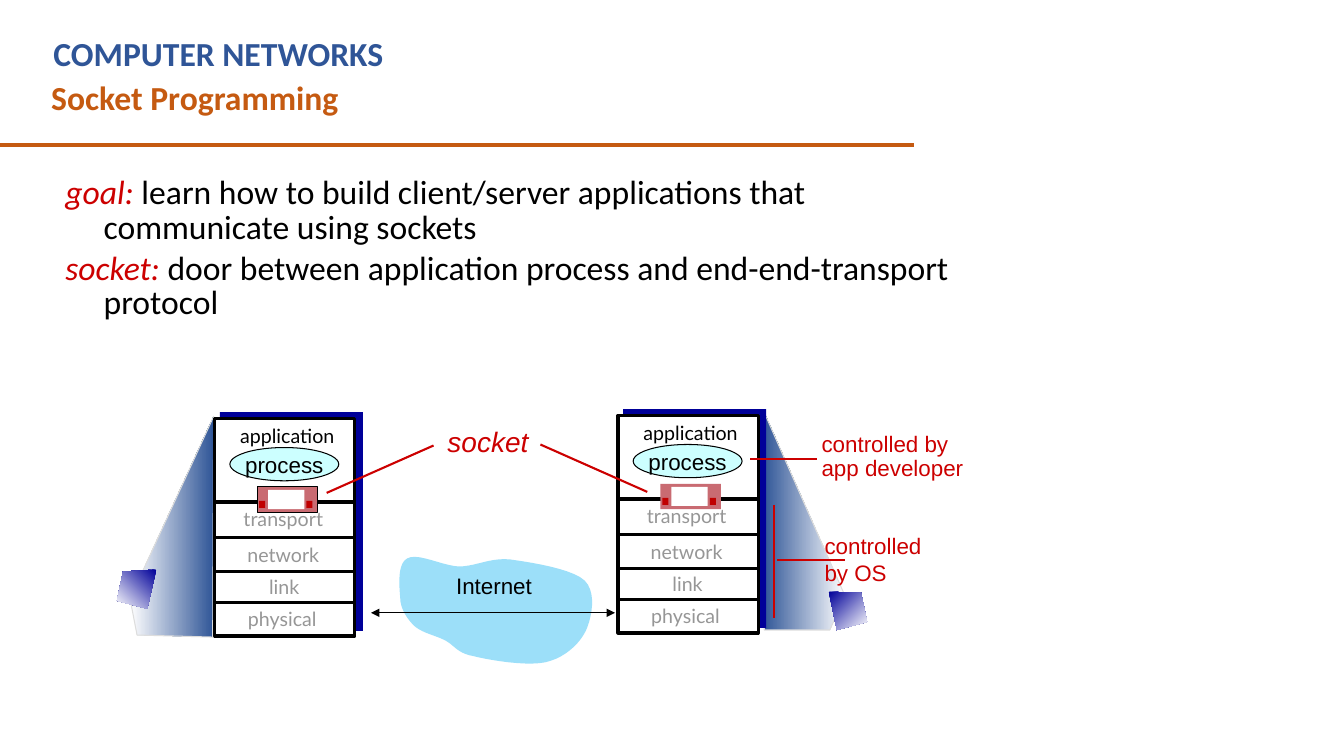
"""Build the Socket Programming slide with two hosts joined by the Internet."""
from dataclasses import dataclass

from lxml.etree import SubElement
from pptx import Presentation
from pptx.dml.color import RGBColor
from pptx.enum.shapes import MSO_CONNECTOR, MSO_SHAPE
from pptx.enum.text import MSO_ANCHOR, MSO_AUTO_SIZE, PP_ALIGN
from pptx.oxml.ns import qn
from pptx.shapes.autoshape import Shape
from pptx.shapes.connector import Connector
from pptx.slide import Slide
from pptx.text.text import TextFrame
from pptx.util import Inches, Pt

BLACK = RGBColor(0x00, 0x00, 0x00)
WHITE = RGBColor(0xFF, 0xFF, 0xFF)
RED = RGBColor(0xCC, 0x00, 0x00)
BRICK = RGBColor(0xC0, 0x00, 0x00)
ROSE = RGBColor(0xC9, 0x6B, 0x72)
RUST = RGBColor(0xC5, 0x5A, 0x11)
BLUE = RGBColor(0x2F, 0x55, 0x97)
NAVY = RGBColor(0x00, 0x00, 0x99)
AQUA = RGBColor(0xCC, 0xFF, 0xFF)
SKY = RGBColor(0x9C, 0xDF, 0xF9)
GREY = RGBColor(0x96, 0x96, 0x96)
PALE = RGBColor(0xDD, 0xDD, 0xDD)

Point = tuple[float, float]
Box = tuple[float, float, float, float]


@dataclass(frozen=True)
class Font:
    """Type settings of a run."""
    name: str
    size: float
    color: RGBColor
    bold: bool = False
    slant: bool = False


@dataclass(frozen=True)
class Label:
    """Lines of text in a box."""
    box: Box
    lines: tuple[str, ...]
    font: Font
    wrap: bool = False
    align: PP_ALIGN = PP_ALIGN.LEFT
    space: float = 1.0


@dataclass(frozen=True)
class Line:
    """A straight line."""
    start: Point
    end: Point
    color: RGBColor = RED
    width: float = 1.5
    heads: bool = False


@dataclass(frozen=True)
class Patch:
    """A polygon with a gradient; the angle runs counter-clockwise."""
    points: tuple[Point, ...]
    first: RGBColor
    last: RGBColor
    angle: float
    edge: RGBColor | None = None


@dataclass(frozen=True)
class Host:
    """A protocol stack and its top left corner."""
    left: float
    top: float
    edge: RGBColor | None


HEAD = Font("Calibri", 24, BLUE, bold=True)
SUB = Font("Calibri", 24, RUST, bold=True)
TERM = Font("Calibri", 24, RED, slant=True)
BODY = Font("Calibri", 24, BLACK)
NOTE = Font("Arial", 16, RED)
PLAIN = Font("Arial", 16, BLACK)
LIVE = Font("Lato", 14, BLACK)
FAINT = Font("Lato", 14, GREY)

TERMS = (
    ("goal:", " learn how to build client/server applications that communicate using sockets"),
    ("socket:", " door between application process and end-end-transport protocol"),
)
LAYERS = (
    ("application", 0, -0.02, LIVE), ("transport", -0.04, 0.81, FAINT),
    ("network", -0.04, 1.16, FAINT), ("link", -0.03, 1.48, FAINT),
    ("physical", -0.05, 1.8, FAINT),
)
RULES = (0.83, 1.18, 1.52, 1.83)
HOSTS = (Host(2.13, 4.15, BLACK), Host(6.13, 4.12, None))
BEAMS = (
    Patch(((8.38, 5.91), (7.57, 4.07), (7.58, 6.25), (8.23, 6.25)), WHITE, BLUE, 180, PALE),
    Patch(((1.29, 5.94), (2.12, 4.13), (2.11, 6.32), (1.36, 6.3)), WHITE, BLUE, 0, PALE),
)
TILES = (
    Patch(((1.55, 5.65), (1.22, 5.67), (1.16, 5.96), (1.46, 6.04)), NAVY, WHITE, 225),
    Patch(((8.22, 5.87), (8.54, 5.88), (8.6, 6.17), (8.3, 6.25)), NAVY, WHITE, 315),
)
CLOUD = (
    (3.97, 5.93), (3.96, 5.81), (3.94, 5.59), (4.04, 5.54), (4.14, 5.48), (4.38, 5.61),
    (4.55, 5.62), (4.72, 5.62), (4.86, 5.53), (5.06, 5.55), (5.27, 5.58), (5.67, 5.64),
    (5.8, 5.76), (5.92, 5.88), (5.87, 6.13), (5.81, 6.26), (5.74, 6.4), (5.59, 6.53),
    (5.41, 6.57), (5.22, 6.61), (4.86, 6.55), (4.7, 6.51), (4.53, 6.48), (4.51, 6.4),
    (4.41, 6.35), (4.31, 6.3), (4.19, 6.28), (4.11, 6.21), (4.04, 6.14), (3.97, 6.04),
    (3.97, 5.93),
)
LABELS = (
    Label((4.42, 5.63, 0.96, 0.37), ("Internet",), PLAIN, align=PP_ALIGN.CENTER),
    Label((8.08, 5.23, 1.16, 0.9), ("controlled", "by OS"), NOTE),
    Label((8.05, 4.25, 1.61, 0.58), ("controlled by", "app developer"), NOTE, space=0.9),
    Label((4.34, 4.2, 1.1, 0.4), ("socket",), Font("Arial", 20, RED, slant=True), space=0.9),
)
LINES = (
    Line((8.1, 4.55), (7.44, 4.55)), Line((7.68, 5.01), (7.68, 6.13)),
    Line((8.38, 5.56), (7.71, 5.56)), Line((3.24, 4.89), (4.3, 4.42)),
    Line((6.42, 4.88), (5.36, 4.41)),
)


def write(frame: TextFrame, row: int, text: str, font: Font) -> None:
    """Add a run to the numbered paragraph."""
    while len(frame.paragraphs) <= row:
        frame.add_paragraph()
    run = frame.paragraphs[row].add_run()
    run.text = text
    run.font.name, run.font.size = font.name, Pt(font.size)
    run.font.bold, run.font.italic = font.bold, font.slant
    run.font.color.rgb = font.color


def label(slide: Slide, item: Label) -> None:
    """Add a text box."""
    frame = slide.shapes.add_textbox(*map(Inches, item.box)).text_frame
    frame.word_wrap = item.wrap
    frame.auto_size = MSO_AUTO_SIZE.SHAPE_TO_FIT_TEXT
    for row, text in enumerate(item.lines):
        write(frame, row, text, item.font)
        frame.paragraphs[row].alignment = item.align
        frame.paragraphs[row].line_spacing = item.space


def line(slide: Slide, item: Line) -> Connector:
    """Add a line, with arrowheads at both ends if asked."""
    ends = map(Inches, item.start + item.end)
    link = slide.shapes.add_connector(MSO_CONNECTOR.STRAIGHT, *ends)
    link.line.color.rgb, link.line.width = item.color, Pt(item.width)
    if item.heads:
        for tag in ("a:headEnd", "a:tailEnd"):
            SubElement(link.line._get_or_add_ln(), qn(tag), type="triangle")
    SubElement(link._element.spPr, qn("a:effectLst"))
    return link


def edge(shape: Shape, color: RGBColor | None, width: float) -> None:
    """Set the outline and drop the shadow."""
    shape.shadow.inherit = False
    if color is None:
        shape.line.fill.background()
    else:
        shape.line.color.rgb, shape.line.width = color, Pt(width)


def block(slide: Slide, box: Box, fill: RGBColor, rim: RGBColor | None = None,
          width: float = 0.75, kind: MSO_SHAPE = MSO_SHAPE.RECTANGLE) -> Shape:
    """Add a filled preset shape."""
    shape = slide.shapes.add_shape(kind, *map(Inches, box))
    shape.fill.solid()
    shape.fill.fore_color.rgb = fill
    edge(shape, rim, width)
    return shape


def outline(slide: Slide, points: tuple[Point, ...]) -> Shape:
    """Add a closed polygon."""
    first, *rest = [(Inches(x), Inches(y)) for x, y in points]
    pen = slide.shapes.build_freeform(*first)
    pen.add_line_segments(rest, close=True)
    return pen.convert_to_shape()


def patch(slide: Slide, item: Patch) -> None:
    """Add a gradient polygon."""
    shape = outline(slide, item.points)
    shape.fill.gradient()
    shape.fill.gradient_angle = item.angle
    for stop, color in zip(shape.fill.gradient_stops, (item.first, item.last)):
        stop.color.rgb = color
    edge(shape, item.edge, 0.75)


def curve(knots: tuple[Point, ...], steps: int = 10) -> tuple[Point, ...]:
    """Trace joined cubic curves as points."""
    trace = [knots[0]]
    for i in range(0, len(knots) - 1, 3):
        for t in (n / steps for n in range(1, steps + 1)):
            mix = ((1 - t) ** 3, 3 * t * (1 - t) ** 2, 3 * t * t * (1 - t), t ** 3)
            x, y = (sum(m * k[a] for m, k in zip(mix, knots[i:i + 4])) for a in (0, 1))
            trace.append((x, y))
    return tuple(trace)


def stack(slide: Slide, host: Host) -> None:
    """Draw a host with its layers, process and socket."""
    x, y = host.left, host.top
    block(slide, (x + 0.05, y - 0.06, 1.42, 2.17), NAVY)
    block(slide, (x, y, 1.39, 2.16), WHITE, BLACK, 2.25)
    for drop in RULES:
        line(slide, Line((x, y + drop), (x + 1.39, y + drop), BLACK, 2.25))
    for text, dx, dy, font in LAYERS:
        label(slide, Label((x + dx, y + dy, 1.44, 0.36), (text,), font, True,
                           PP_ALIGN.CENTER, 1.1))
    oval = block(slide, (x + 0.15, y + 0.29, 1.08, 0.33), AQUA, BLACK, kind=MSO_SHAPE.OVAL)
    oval.text_frame.word_wrap = False
    oval.text_frame.vertical_anchor = MSO_ANCHOR.MIDDLE
    write(oval.text_frame, 0, "process", PLAIN)
    oval.text_frame.paragraphs[0].alignment = PP_ALIGN.CENTER
    block(slide, (x + 0.42, y + 0.68, 0.6, 0.25), ROSE, host.edge)
    block(slide, (x + 0.53, y + 0.71, 0.36, 0.19), WHITE)
    for dx in (0.44, 0.91):
        block(slide, (x + dx, y + 0.82, 0.06, 0.07), BRICK)


def heading(slide: Slide) -> None:
    """Fill the title, subtitle and definitions."""
    title = slide.shapes.title
    title.left, title.top, title.width, title.height = map(Inches, (0.43, 0.28, 8.2, 0.5))
    title.text_frame.vertical_anchor = MSO_ANCHOR.TOP
    title.text_frame.auto_size = MSO_AUTO_SIZE.NONE
    write(title.text_frame, 0, "COMPUTER NETWORKS", HEAD)
    title.text_frame.paragraphs[0].alignment = PP_ALIGN.LEFT
    label(slide, Label((0.41, 0.71, 8.75, 0.5), ("Socket Programming",), SUB, True))
    line(slide, Line((0, 1.44), (9.07, 1.44), RUST, 3))
    frame = slide.shapes.add_textbox(*map(Inches, (0.55, 1.71, 9.25, 1.68))).text_frame
    frame.word_wrap = True
    for row, (term, text) in enumerate(TERMS):
        write(frame, row, term, TERM)
        write(frame, row, text, BODY)
        para = frame.paragraphs[row]
        para.line_spacing, para.space_before = 0.85, Pt(5 if row else 0)
        props = para._p.get_or_add_pPr()
        props.set("marL", str(Inches(0.38)))
        props.set("indent", str(Inches(-0.38)))


def main() -> None:
    """Build and save the slide."""
    deck = Presentation()
    deck.slide_width, deck.slide_height = Inches(13.33), Inches(7.5)
    slide = deck.slides.add_slide(deck.slide_layouts[5])
    heading(slide)
    for beam in BEAMS:
        patch(slide, beam)
    cloud = outline(slide, curve(CLOUD))
    cloud.fill.solid()
    cloud.fill.fore_color.rgb = SKY
    edge(cloud, None, 0)
    line(slide, Line((3.68, 6.08), (6.1, 6.08), BLACK, 0.75, True))
    for host in HOSTS:
        stack(slide, host)
    for item in LINES:
        line(slide, item)
    for item in LABELS:
        label(slide, item)
    for tile in TILES:
        patch(slide, tile)
    deck.save("out.pptx")


if __name__ == "__main__":
    main()
